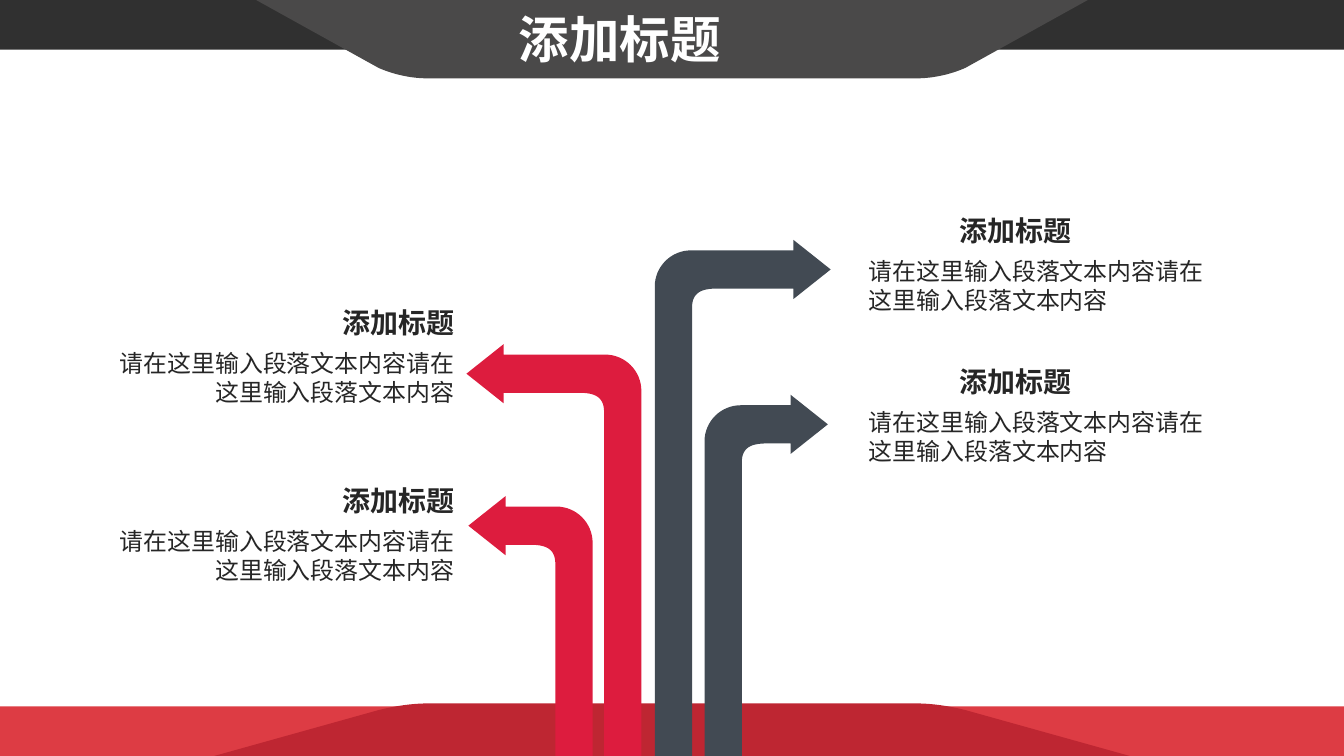
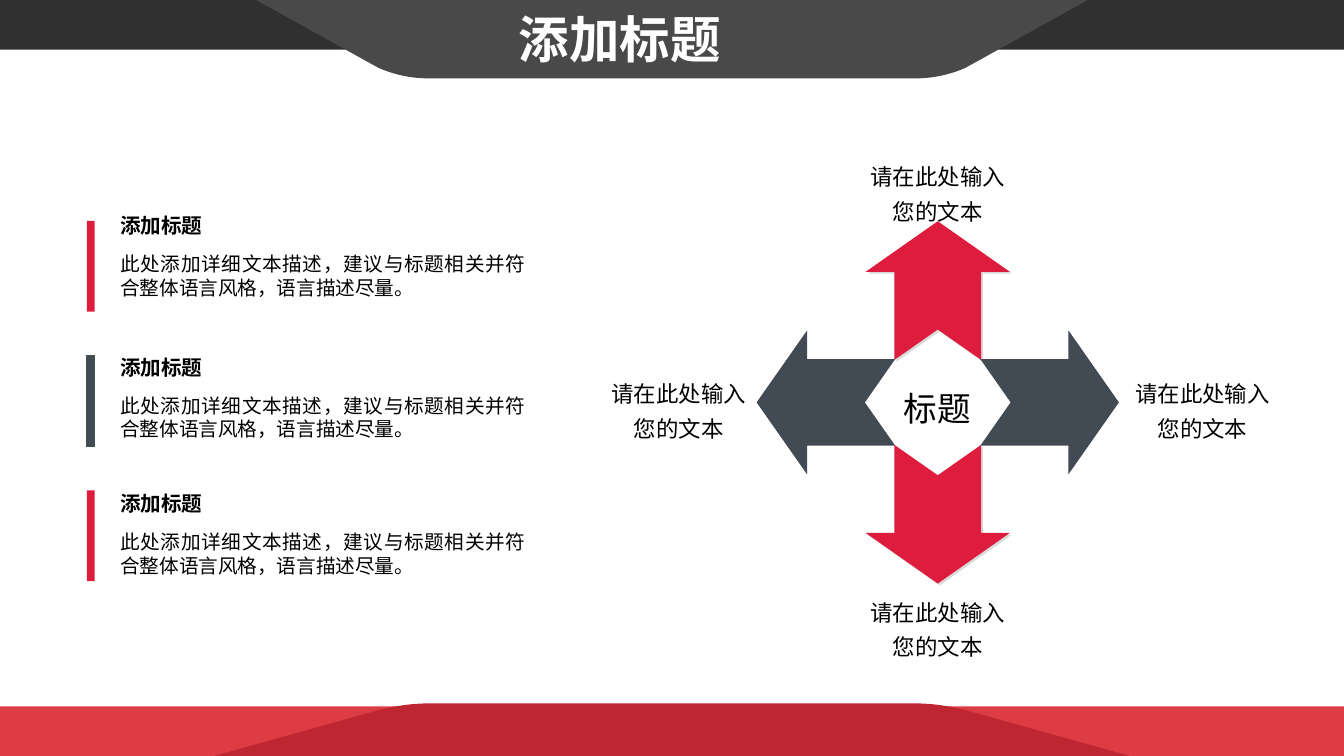
from lxml import etree
from pptx import Presentation
from pptx.dml.color import RGBColor
from pptx.enum.shapes import MSO_SHAPE
from pptx.enum.text import MSO_AUTO_SIZE, PP_ALIGN
from pptx.oxml.ns import qn
from pptx.util import Inches, Pt

RECTANGLE = MSO_SHAPE.RECTANGLE
NOTCHED_ARROW = MSO_SHAPE.NOTCHED_RIGHT_ARROW
LEFT, CENTER, RIGHT, JUSTIFY = PP_ALIGN.LEFT, PP_ALIGN.CENTER, PP_ALIGN.RIGHT, PP_ALIGN.JUSTIFY
FIT_SHAPE = MSO_AUTO_SIZE.SHAPE_TO_FIT_TEXT

FONT = "Noto Sans CJK SC"
COLORS = {
    "red": "DD1C3E", "slate": "424A53", "slate line": "41514E",
    "header band": "303030", "header tab": "4A4949",
    "footer band": "DD3C44", "footer tab": "BE2632",
    "white": "FFFFFF", "black": "000000", "body": "262626",
}
WIDTH, HEIGHT = 14.06, 7.91
BAND_HEIGHT = 0.52
MIDDLE = WIDTH / 2

TITLE = "添加标题"
BRANCH_TEXT = "请在这里输入段落文本内容请在这里输入段落文本内容"
# direction, outer stem edge, arrow tip, arrow centre y, colour, heading top
BRANCHES = [
    (1, 6.85, 8.69, 2.82, "slate", 2.19),
    (1, 7.37, 8.66, 4.44, "slate", 3.77),
    (-1, 6.71, 4.88, 3.91, "red", 3.15),
    (-1, 6.20, 4.90, 5.50, "red", 5.01),
]
# heading left, description left, description alignment
BRANCH_SIDES = {1: (9.01, 8.99, LEFT), -1: (2.55, 0.92, RIGHT)}

ITEM_TEXT = "此处添加详细文本描述，建议与标题相关并符合整体语言风格，语言描述尽量。"
# bar colour, bar outline, heading top
ITEMS = [("red", None, 2.18), ("slate", "slate line", 3.66), ("red", None, 5.09)]

CROSS_LABEL = "标题"
CROSS_CENTER = (9.81, 4.21)
CROSS_REACH = 1.17
CAPTION = "请在此处输入您的文本"
# direction x and y, rotation, colour, shadow, caption centre x, caption top
CROSS_ARROWS = [
    (0, -1, 270, "red", True, 9.81, 1.57),
    (1, 0, 0, "slate", False, 12.58, 3.84),
    (-1, 0, 180, "slate", False, 7.10, 3.84),
    (0, 1, 90, "red", True, 9.81, 6.13),
]


def rgb(name):
    return RGBColor.from_string(COLORS[name])


def paint(shape, fill, line=None):
    shape.shadow.inherit = False
    shape.fill.solid()
    shape.fill.fore_color.rgb = rgb(fill)
    if line:
        shape.line.color.rgb = rgb(line)
        shape.line.width = Pt(0.75)
    else:
        shape.line.fill.background()


def add_preset(slide, kind, left, top, width, height, fill, line=None):
    shape = slide.shapes.add_shape(
        kind, Inches(left), Inches(top), Inches(width), Inches(height))
    paint(shape, fill, line)
    return shape


def add_outline(slide, points, fill):
    corners = [(Inches(x), Inches(y)) for x, y in points]
    builder = slide.shapes.build_freeform(*corners[0], scale=1.0)
    builder.add_line_segments(corners[1:], close=True)
    paint(builder.convert_to_shape(), fill)


def curve(start, control_1, control_2, end, steps=16):
    """Return points along a cubic Bezier curve, both ends included."""
    points = []
    for step in range(steps + 1):
        t = step / steps
        weights = ((1 - t) ** 3, 3 * t * (1 - t) ** 2, 3 * t * t * (1 - t), t ** 3)
        knots = (start, control_1, control_2, end)
        points.append(tuple(sum(w * k[axis] for w, k in zip(weights, knots))
                            for axis in (0, 1)))
    return points


def add_text(slide, text, left, top, width, height, size, color="black", bold=False,
             align=LEFT, wrap=True, spacing=None, side_inset=0.1):
    box = slide.shapes.add_textbox(
        Inches(left), Inches(top), Inches(width), Inches(height))
    frame = box.text_frame
    frame.word_wrap = wrap
    frame.auto_size = FIT_SHAPE
    frame.margin_left = frame.margin_right = Inches(side_inset)
    paragraph = frame.paragraphs[0]
    paragraph.alignment = align
    if spacing:
        paragraph.line_spacing = spacing
    run = paragraph.add_run()
    run.text = text
    run.font.size = Pt(size)
    run.font.bold = bold
    run.font.name = FONT
    run.font.color.rgb = rgb(color)
    properties = run.font._element
    etree.SubElement(properties, qn("a:ea")).set("typeface", FONT)


def add_tab(slide, base_y, shoulder_y, control_y, edge_y, half_base, fill):
    """Draw a symmetric tab with rounded shoulders, based on a slide edge."""
    shoulder = curve((3.07, shoulder_y), (2.91, control_y), (2.73, edge_y), (2.55, edge_y))
    half = [(half_base, base_y)] + shoulder
    points = [(MIDDLE - x, y) for x, y in half]
    points += [(MIDDLE + x, y) for x, y in reversed(half)]
    add_outline(slide, points, fill)


def add_frame(slide, title):
    """Draw the footer, header and title that every slide carries."""
    add_preset(slide, RECTANGLE, 0, HEIGHT - BAND_HEIGHT, WIDTH, BAND_HEIGHT, "footer band")
    add_tab(slide, HEIGHT, 7.43, 7.39, 7.36, 4.79, "footer tab")
    add_preset(slide, RECTANGLE, 0, 0, WIDTH, BAND_HEIGHT, "header band")
    add_tab(slide, 0, 0.71, 0.78, 0.82, 4.35, "header tab")
    add_text(slide, title, 5.33, 0.04, 2.33, 0.74, 38, "white", bold=True, wrap=False)


def add_bent_arrow(slide, direction, outer, tip, center_y, fill):
    """Draw a stem from the slide's foot that bends sideways into an arrowhead."""
    head_half, shaft_half, head_length, stem = 0.31, 0.2, 0.39, 0.39
    top, bottom = center_y - shaft_half, center_y + shaft_half

    def across(distance):
        return outer + direction * distance

    neck = tip - direction * head_length
    points = [(neck, top), (neck, center_y - head_half), (tip, center_y),
              (neck, center_y + head_half), (neck, bottom)]
    points += curve((across(0.65), bottom), (across(0.49), bottom),
                    (across(stem), bottom + 0.04), (across(stem), bottom + 0.2))
    points += [(across(stem), HEIGHT), (outer, HEIGHT)]
    points += curve((outer, top + 0.38), (outer, top + 0.17),
                    (across(0.17), top), (across(0.38), top))
    add_outline(slide, points, fill)


def add_drop_shadow(shape):
    effects = shape._element.spPr.find(qn("a:effectLst"))
    shadow = etree.SubElement(effects, qn("a:outerShdw"), dist=str(Pt(2)),
                              dir="2700000", algn="tl", rotWithShape="0")
    color = etree.SubElement(shadow, qn("a:srgbClr"), val=COLORS["black"])
    etree.SubElement(color, qn("a:alpha"), val="14000")


def build_branches(slide):
    for direction, outer, tip, center_y, fill, top in BRANCHES:
        add_bent_arrow(slide, direction, outer, tip, center_y, fill)
        heading_left, text_left, align = BRANCH_SIDES[direction]
        add_text(slide, TITLE, heading_left, top, 2.3, 0.46, 21.1, "body",
                 bold=True, align=RIGHT)
        add_text(slide, BRANCH_TEXT, text_left, top + 0.45, 3.93, 0.71, 18, "body",
                 align=align)


def build_cross(slide):
    center_x, center_y = CROSS_CENTER
    length, breadth, caption_width = 1.45, 1.51, 1.68
    for step_x, step_y, rotation, fill, shadow, caption_x, caption_top in CROSS_ARROWS:
        arrow = add_preset(slide, NOTCHED_ARROW,
                           center_x + step_x * CROSS_REACH - length / 2,
                           center_y + step_y * CROSS_REACH - breadth / 2,
                           length, breadth, fill)
        arrow.adjustments[0], arrow.adjustments[1] = 0.6, 0.365
        arrow.rotation = rotation
        if shadow:
            add_drop_shadow(arrow)
        add_text(slide, CAPTION, caption_x - caption_width / 2, caption_top,
                 caption_width, 0.84, 16.9, align=CENTER, spacing=1.3, side_inset=0.11)
    add_text(slide, CROSS_LABEL, 9.09, 4.01, 1.43, 0.53, 25.3,
             align=CENTER, side_inset=0.11)


def build_items(slide):
    for index, (fill, line, top) in enumerate(ITEMS):
        add_preset(slide, RECTANGLE, 0.91, 2.31 + 1.41 * index, 0.08, 0.95, fill, line)
        add_text(slide, TITLE, 1.16, top, 3.08, 0.36, 15.5, bold=True)
        add_text(slide, ITEM_TEXT, 1.16, top + 0.41, 4.44, 0.6, 14.8, align=JUSTIFY)


def main():
    presentation = Presentation()
    presentation.slide_width = Inches(WIDTH)
    presentation.slide_height = Inches(HEIGHT)
    for builders in ([build_branches], [build_cross, build_items]):
        slide = presentation.slides.add_slide(presentation.slide_layouts[6])
        add_frame(slide, TITLE)
        for build in builders:
            build(slide)
    presentation.save("out.pptx")


if __name__ == "__main__":
    main()
